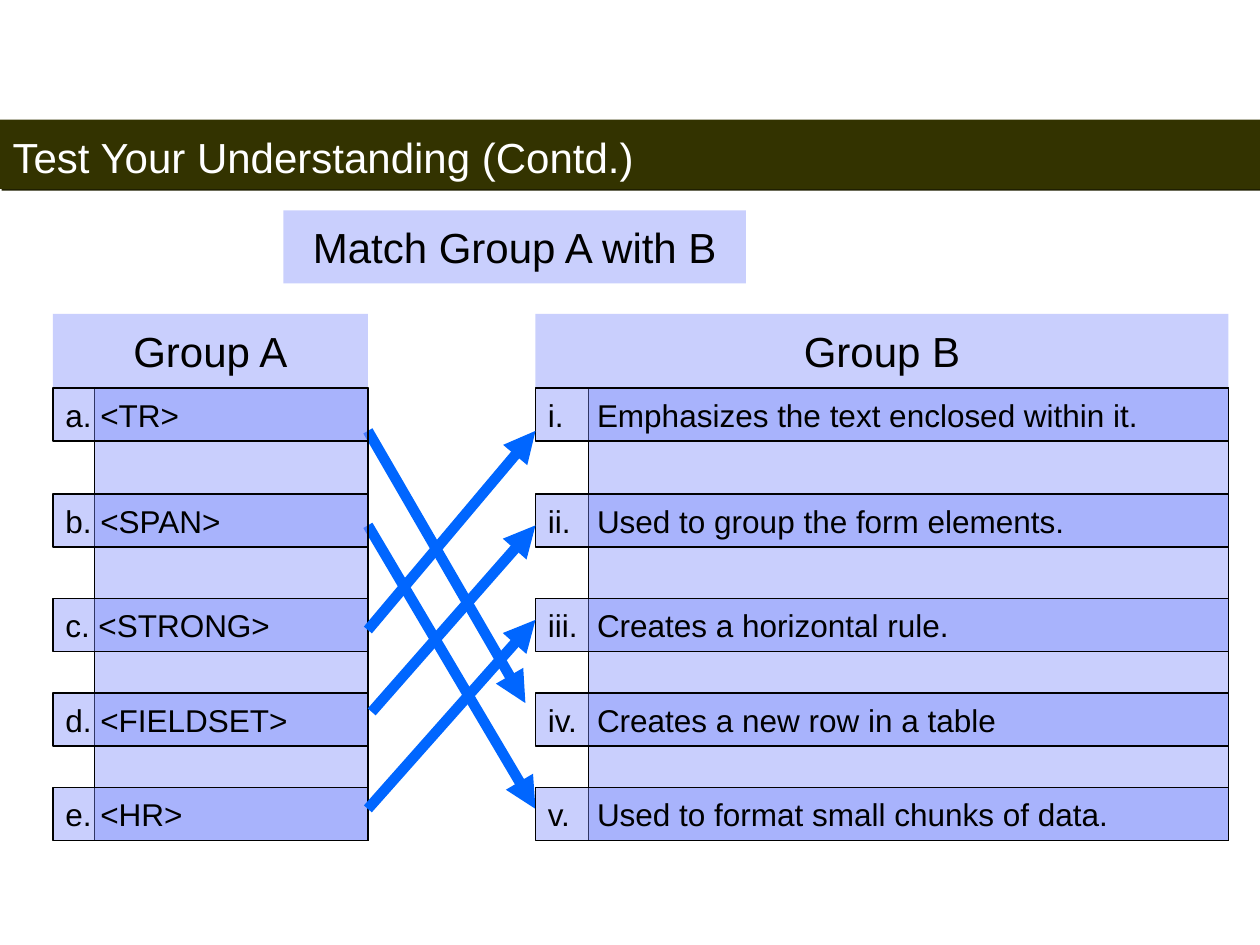
import pptx
import pptx.util
import pptx.dml.color
import pptx.enum.shapes
import pptx.enum.text
import pptx.oxml
import pptx.oxml.ns
from lxml import etree
from dataclasses import dataclass

Inches = pptx.util.Inches
Pt = pptx.util.Pt
ALIGN = pptx.enum.text.PP_ALIGN
ANCHOR = pptx.enum.text.MSO_ANCHOR


@dataclass(frozen=True)
class Theme:
    font: str = "Arial"
    heading_size: int = 24
    row_size: int = 18
    panel: str = "7889FB"
    panel_opacity: int = 40
    ink: str = "000000"
    arrow: str = "0066FF"
    banner: str = "333300"
    banner_shadow: str = "1F1F00"
    banner_text: str = "FFFFFF"


THEME = Theme()
TITLE = "Test Your Understanding (Contd.)"
TASK = "Match Group A with B"
GROUPS = [
    {"name": "Group A", "left": 0.42, "width": 2.5, "label_width": 0.33, "tab": None,
     "rows": ["a. <TR>", "b. <SPAN>", "c. <STRONG>", "d. <FIELDSET>", "e. <HR>"]},
    {"name": "Group B", "left": 4.25, "width": 5.5, "label_width": 0.42, "tab": 0.39,
     "rows": ["i.\tEmphasizes the text enclosed within it.",
              "ii.\tUsed to group the form elements.",
              "iii.\tCreates a horizontal rule.",
              "iv.\tCreates a new row in a table",
              "v.\tUsed to format small chunks of data."]},
]
ROW_TOPS = [3.08, 3.92, 4.75, 5.5, 6.25]
ROW_HEIGHT = 0.42
HEADING_TOP, HEADING_HEIGHT = 2.49, 0.58
BACK_ARROWS = [((2.92, 4.17), (4.25, 6.42)), ((2.92, 3.42), (4.17, 5.58))]
FRONT_ARROWS = [((2.92, 5), (4.25, 3.42)), ((2.95, 5.65), (4.25, 4.17)),
                ((2.92, 6.42), (4.25, 4.92))]


def rgb(value):
    return pptx.dml.color.RGBColor.from_string(value)


def add_child(parent, tag, **attributes):
    child = etree.SubElement(parent, pptx.oxml.ns.qn(tag))
    for name, value in attributes.items():
        child.set(name, str(value))
    return child


def write(sp, text, size, color, align, anchor, tab=None):
    tf = sp.text_frame
    tf.word_wrap = True
    tf.auto_size = pptx.enum.text.MSO_AUTO_SIZE.NONE
    tf.vertical_anchor = anchor
    p = tf.paragraphs[0]
    p.alignment = align
    if tab:
        tabs = add_child(p._p.get_or_add_pPr(), "a:tabLst")
        add_child(tabs, "a:tab", pos=Inches(tab), algn="l")
    for i, part in enumerate(text.split("\t")):
        r = p.add_run()
        r.text = "\t" + part if i else part
        r.font.name = THEME.font
        r.font.size = Pt(size)
        r.font.color.rgb = rgb(color)
    return p


def add_panel(slide, left, top, width, height, outlined=True):
    sp = slide.shapes.add_shape(pptx.enum.shapes.MSO_SHAPE.RECTANGLE,
                                Inches(left), Inches(top), Inches(width), Inches(height))
    sp.shadow.inherit = False
    sp.fill.solid()
    sp.fill.fore_color.rgb = rgb(THEME.panel)
    color = sp._element.spPr.find(".//" + pptx.oxml.ns.qn("a:srgbClr"))
    add_child(color, "a:alpha", val=THEME.panel_opacity * 1000)
    if outlined:
        sp.line.color.rgb = rgb(THEME.ink)
        sp.line.width = Pt(1)
    else:
        sp.line.fill.background()
    return sp


def add_heading(slide, text, left, top, width):
    sp = add_panel(slide, left, top, width, HEADING_HEIGHT, outlined=False)
    write(sp, text, THEME.heading_size, THEME.ink, ALIGN.CENTER, ANCHOR.MIDDLE)


def add_group(slide, group):
    left, width, label = group["left"], group["width"], group["label_width"]
    bottom = ROW_TOPS[-1] + ROW_HEIGHT
    add_panel(slide, left + label, ROW_TOPS[0], width - label, bottom - ROW_TOPS[0])
    for text, top in zip(group["rows"], ROW_TOPS):
        sp = add_panel(slide, left, top, width, ROW_HEIGHT)
        write(sp, text, THEME.row_size, THEME.ink, ALIGN.LEFT, ANCHOR.MIDDLE, group["tab"])
    add_heading(slide, group["name"], left, HEADING_TOP, width)


def add_arrows(slide, arrows):
    for start, end in arrows:
        line = slide.shapes.add_connector(pptx.enum.shapes.MSO_CONNECTOR.STRAIGHT,
                                          *(Inches(v) for v in start + end))
        line.line.color.rgb = rgb(THEME.arrow)
        line.line.width = Pt(6)
        add_child(line.line._get_or_add_ln(), "a:tailEnd", type="triangle")
        add_child(line._element.spPr, "a:effectLst")


def add_title(slide):
    sp = slide.shapes.title
    sp.left, sp.top, sp.width, sp.height = (Inches(v) for v in (0, 0.95, 10, 0.55))
    sp.fill.solid()
    sp.fill.fore_color.rgb = rgb(THEME.banner)
    effects = add_child(sp._element.spPr, "a:effectLst")
    shadow = add_child(effects, "a:outerShdw", dist=Pt(1.4), dir=45 * 60000,
                       algn="ctr", rotWithShape=0)
    add_child(shadow, "a:srgbClr", val=THEME.banner_shadow)
    p = write(sp, TITLE, THEME.heading_size, THEME.banner_text, ALIGN.LEFT, ANCHOR.BOTTOM)
    p.line_spacing = 0.9


def main():
    prs = pptx.Presentation()
    prs.slide_width, prs.slide_height = Inches(10), Inches(7.5)
    slide = prs.slides.add_slide(prs.slide_layouts[5])
    add_title(slide)
    add_arrows(slide, BACK_ARROWS)
    for group in GROUPS:
        add_group(slide, group)
    add_heading(slide, TASK, 2.25, 1.67, 3.67)
    add_arrows(slide, FRONT_ARROWS)
    prs.save("out.pptx")


if __name__ == "__main__":
    main()
